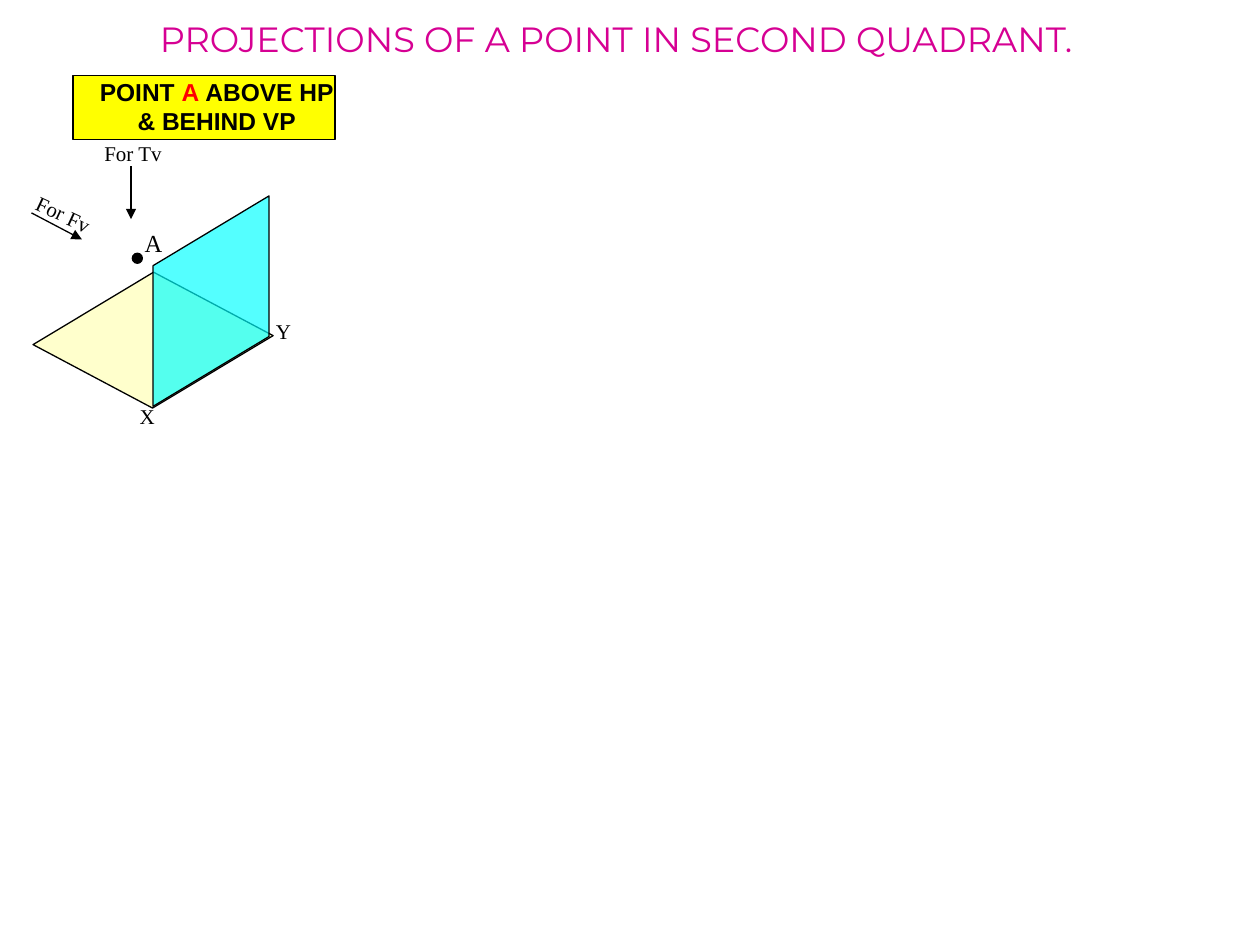
from lxml import etree
from pptx import Presentation
from pptx import util as u
from pptx.dml.color import RGBColor
from pptx.enum import shapes, text
from pptx.oxml import ns

BLACK = "000000"
SERIF = "Times New Roman"
KINDS = shapes.MSO_SHAPE


def color(value):
    return RGBColor.from_string(value)


def add_figure(parent, kind, place, fill):
    figure = parent.shapes.add_shape(kind, *map(u.Inches, place))
    figure.shadow.inherit = False
    figure.fill.solid()
    figure.fill.fore_color.rgb = color(fill)
    figure.line.color.rgb = color(BLACK)
    figure.line.width = u.Pt(0.75)
    return figure


def add_plane(parent, place, fill, rotation, opacity=100):
    plane = add_figure(parent, KINDS.PARALLELOGRAM, place, fill)
    plane.adjustments[0] = 0.602
    plane.rotation = rotation
    plane._element.spPr.find(ns.qn("a:xfrm")).set("flipV", "1")
    if opacity < 100:
        tint = plane._element.spPr.find(ns.qn("a:solidFill"))[0]
        etree.SubElement(tint, ns.qn("a:alpha")).set("val", str(opacity * 1000))


def add_text(parent, place, lines, size, font=SERIF, bold=False,
             align=text.PP_ALIGN.LEFT, wrap=False, rotation=0):
    box = parent.shapes.add_textbox(*map(u.Inches, place))
    box.rotation = rotation
    frame = box.text_frame
    frame.word_wrap = wrap
    frame.auto_size = text.MSO_AUTO_SIZE.SHAPE_TO_FIT_TEXT
    for index, spans in enumerate(lines):
        para = frame.add_paragraph() if index else frame.paragraphs[0]
        para.alignment = align
        for words, ink in spans:
            span = para.add_run()
            span.text = words
            span.font.name = font
            span.font.size = u.Pt(size)
            span.font.bold = bold
            span.font.color.rgb = color(ink)


def add_label(parent, place, words, size=12, rotation=0):
    add_text(parent, place, [[(words, BLACK)]], size, rotation=rotation)


def add_arrow(parent, start, end):
    arrow = parent.shapes.add_connector(
        shapes.MSO_CONNECTOR.STRAIGHT, *map(u.Inches, start + end))
    arrow.line.color.rgb = color(BLACK)
    arrow.line.width = u.Pt(0.75)
    head = etree.SubElement(arrow.line._get_or_add_ln(), ns.qn("a:tailEnd"))
    head.set("type", "triangle")
    etree.SubElement(arrow._element.spPr, ns.qn("a:effectLst"))


def add_view(page, start, end, place, words, rotation=0):
    view = page.shapes.add_group_shape()
    add_arrow(view, start, end)
    add_label(view, place, words, rotation=rotation)


def add_caption(page):
    caption = page.shapes.add_group_shape()
    add_figure(caption, KINDS.RECTANGLE, (0.58, 0.6, 2.08, 0.51), "FFFF00")
    lines = [
        [("POINT ", BLACK), ("A ", "FF0000"), ("ABOVE HP", BLACK)],
        [("& BEHIND VP", BLACK)],
    ]
    add_text(caption, (0.42, 0.56, 2.6, 0.57), lines, 14, "Arial", bold=True,
             align=text.PP_ALIGN.CENTER, wrap=True)


def main():
    deck = Presentation()
    deck.slide_width = u.Inches(10)
    deck.slide_height = u.Inches(7.5)
    page = deck.slides.add_slide(deck.slide_layouts[6])

    add_plane(page, (0.38, 2.24, 1.67, 0.92), "FFFFCC", 329)
    add_plane(page, (0.84, 1.93, 1.67, 0.92), "00FFFF", 90, opacity=67)
    title = "PROJECTIONS OF A POINT IN SECOND QUADRANT."
    add_text(page, (1.17, 0.09, 8.06, 0.43), [[(title, "D60093")]], 20,
             "Montserrat")
    add_caption(page)
    add_label(page, (1.01, 3.15, 0.32, 0.3), "X")
    add_label(page, (2.09, 2.48, 0.32, 0.3), "Y")
    add_figure(page, KINDS.OVAL, (1.05, 2.01, 0.08, 0.08), BLACK)
    add_label(page, (1.05, 1.76, 0.34, 0.33), "A", size=14)
    add_view(page, (0.25, 1.69), (0.65, 1.9), (0.18, 1.55, 0.65, 0.3),
             "For Fv", rotation=24.9)
    add_view(page, (1.04, 1.32), (1.04, 1.74), (0.73, 1.07, 0.66, 0.3),
             "For Tv")
    deck.save("out.pptx")


if __name__ == "__main__":
    main()
